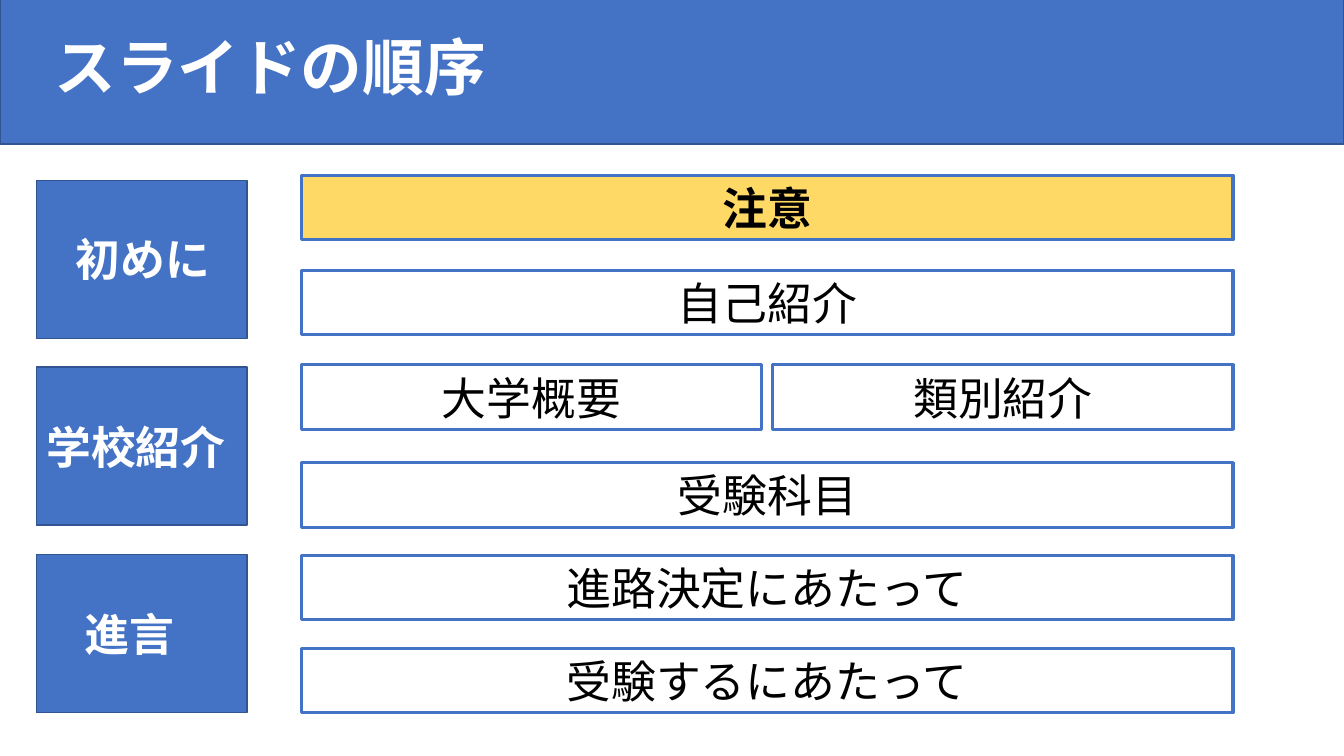
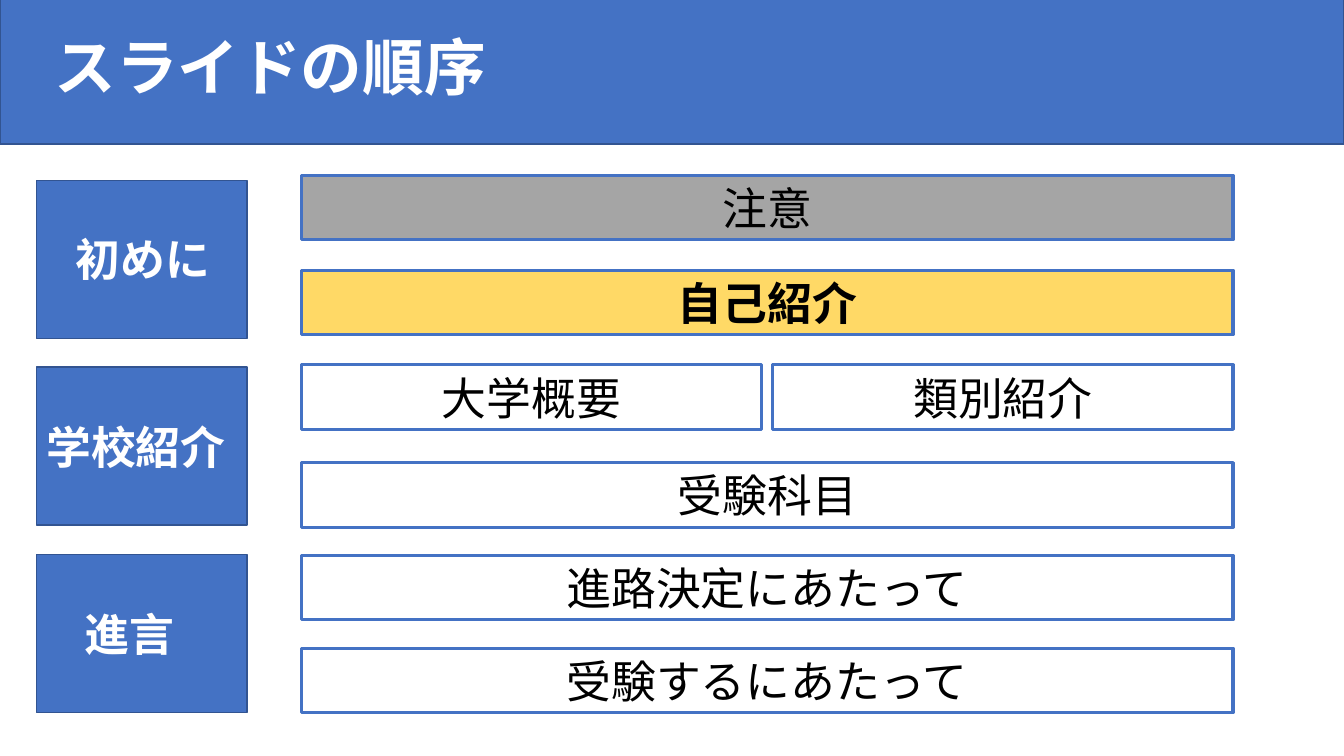
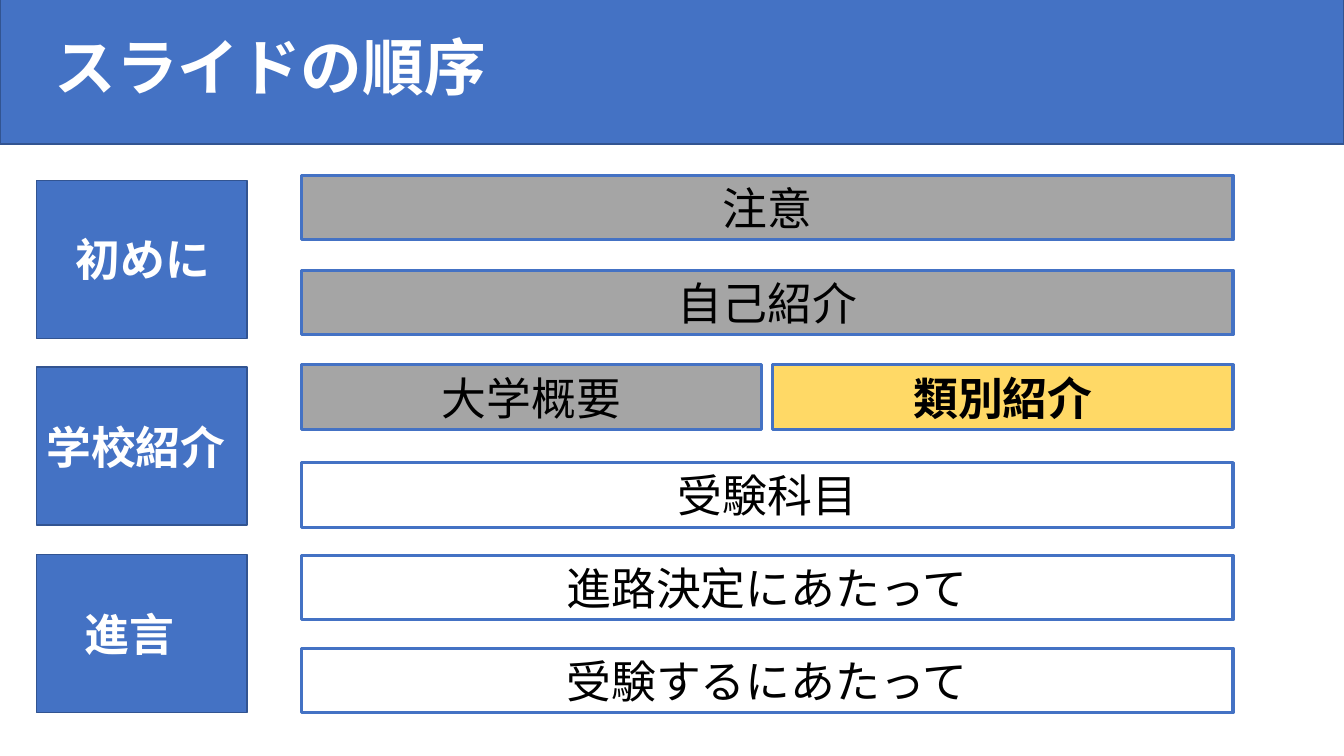
from dataclasses import dataclass

from lxml import etree
from pptx import Presentation
from pptx.dml.color import RGBColor
from pptx.enum.shapes import MSO_SHAPE
from pptx.enum.text import MSO_ANCHOR, MSO_AUTO_SIZE, PP_ALIGN
from pptx.oxml.ns import qn
from pptx.util import Inches, Pt

RECTANGLE = MSO_SHAPE.RECTANGLE
MIDDLE = MSO_ANCHOR.MIDDLE
NO_AUTOFIT = MSO_AUTO_SIZE.NONE
LEFT, CENTER = PP_ALIGN.LEFT, PP_ALIGN.CENTER


@dataclass(frozen=True)
class Theme:
    font: str = "Noto Sans CJK JP"
    title_size: int = 44
    body_size: int = 32
    blue: str = "4472C4"
    dark_blue: str = "325491"
    current: str = "FFD966"
    done: str = "A5A5A5"
    white: str = "FFFFFF"
    black: str = "000000"


THEME = Theme()

TITLE = "スライドの順序"
BAND_TOP, BAND_HEIGHT = -0.02, 1.45
SECTION_LEFT, SECTION_WIDTH, SECTION_HEIGHT = 0.36, 2.09, 1.57
TOPIC_LEFT, TOPIC_WIDTH, TOPIC_GAP = 2.99, 9.24, 0.11
TEXT_HEIGHT = 0.64

# Block top, label, label left, label top, label width
SECTIONS = [
    (1.79, "初めに", 0.65, 2.25, 1.6),
    (3.64, "学校紹介", 0.36, 4.11, 2.09),
    (5.5, "進言", 0.74, 5.97, 1.32),
]
# Row top, topics sharing the row
TOPIC_ROWS = [
    (1.74, ["注意"]),
    (2.68, ["自己紹介"]),
    (3.62, ["大学概要", "類別紹介"]),
    (4.59, ["受験科目"]),
    (5.51, ["進路決定にあたって"]),
    (6.43, ["受験するにあたって"]),
]
CURRENT_TOPICS = ["注意", "自己紹介", "類別紹介"]


def add_rectangle(slide, left, top, width, height, fill, line, line_width):
    """Add a shadowless rectangle; a fill of None leaves it hollow."""
    shape = slide.shapes.add_shape(
        RECTANGLE, Inches(left), Inches(top), Inches(width), Inches(height)
    )
    shape.shadow.inherit = False
    if fill is None:
        shape.fill.background()
    else:
        shape.fill.solid()
        shape.fill.fore_color.rgb = RGBColor.from_string(fill)
    shape.line.color.rgb = RGBColor.from_string(line)
    shape.line.width = Pt(line_width)
    return shape


def write_text(shape, text, size, color, bold, alignment):
    """Set one line of text, with its font for Latin and East Asian letters."""
    frame = shape.text_frame
    frame.text = text
    frame.word_wrap = True
    frame.auto_size = NO_AUTOFIT
    frame.vertical_anchor = MIDDLE
    paragraph = frame.paragraphs[0]
    paragraph.alignment = alignment
    run = paragraph.runs[0]
    run.font.size = Pt(size)
    run.font.bold = bold
    run.font.color.rgb = RGBColor.from_string(color)
    run.font.name = THEME.font
    east_asian = etree.SubElement(run._r.get_or_add_rPr(), qn("a:ea"))
    east_asian.set("typeface", THEME.font)


presentation = Presentation()
presentation.slide_width = Inches(13.33)
presentation.slide_height = Inches(7.5)
title_only = presentation.slide_layouts[5]
topic_order = [topic for _, topics in TOPIC_ROWS for topic in topics]

for current_topic in CURRENT_TOPICS:
    slide = presentation.slides.add_slide(title_only)
    done_topics = topic_order[:topic_order.index(current_topic)]

    add_rectangle(slide, 0, BAND_TOP, 13.33, BAND_HEIGHT, THEME.blue, THEME.dark_blue, 1)
    title = slide.shapes.title
    title.left, title.top = Inches(0.44), Inches(BAND_TOP)
    title.width, title.height = Inches(4.83), Inches(BAND_HEIGHT)
    write_text(title, TITLE, THEME.title_size, THEME.white, True, LEFT)
    title.text_frame.paragraphs[0].line_spacing = 0.9
    slide.shapes._spTree.append(title._element)  # in front of the band

    for top, label, label_left, label_top, label_width in SECTIONS:
        add_rectangle(slide, SECTION_LEFT, top, SECTION_WIDTH, SECTION_HEIGHT,
                      THEME.blue, THEME.dark_blue, 1)
        label_box = slide.shapes.add_textbox(
            Inches(label_left), Inches(label_top), Inches(label_width), Inches(TEXT_HEIGHT)
        )
        write_text(label_box, label, THEME.body_size, THEME.white, True, LEFT)

    for top, topics in TOPIC_ROWS:
        width = (TOPIC_WIDTH - TOPIC_GAP * (len(topics) - 1)) / len(topics)
        for column, topic in enumerate(topics):
            is_current = topic == current_topic
            fill = THEME.current if is_current else THEME.done if topic in done_topics else None
            topic_box = add_rectangle(slide, TOPIC_LEFT + column * (width + TOPIC_GAP), top,
                                      width, TEXT_HEIGHT, fill, THEME.blue, 2.25)
            write_text(topic_box, topic, THEME.body_size, THEME.black, is_current, CENTER)

presentation.save("out.pptx")
